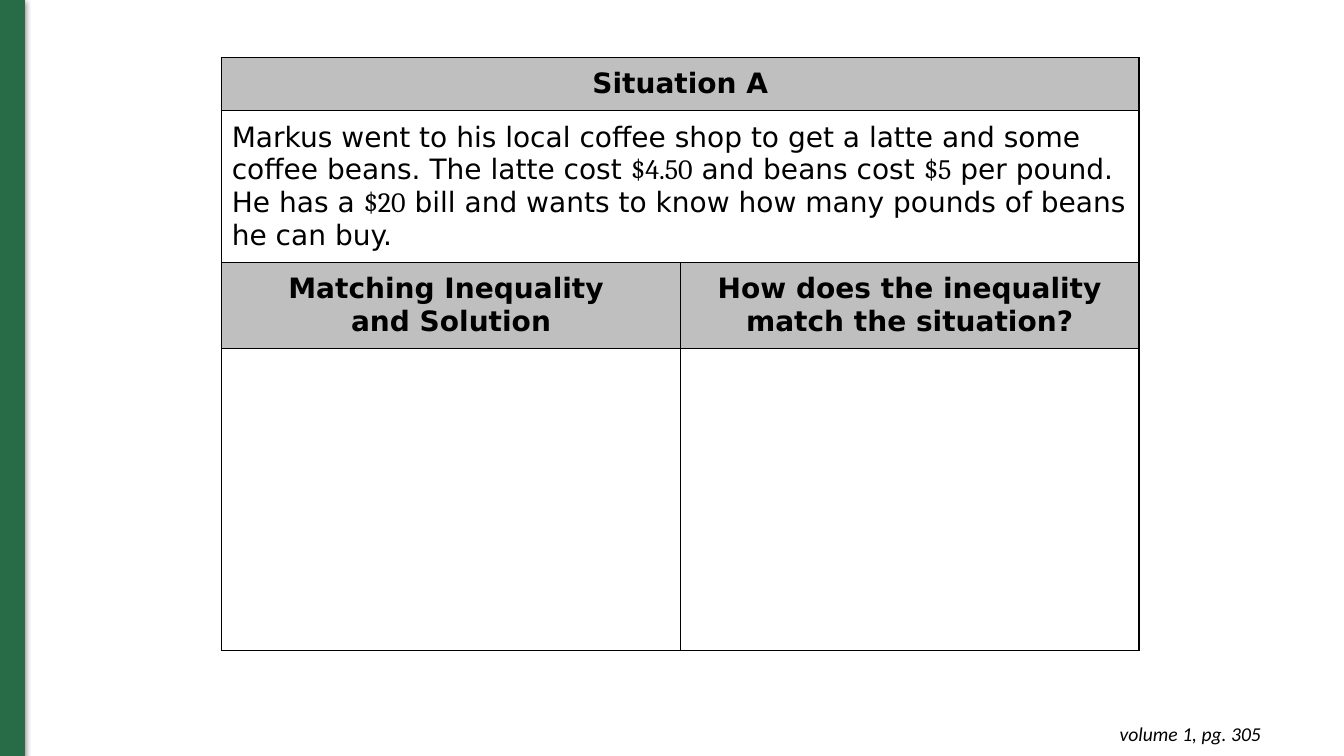
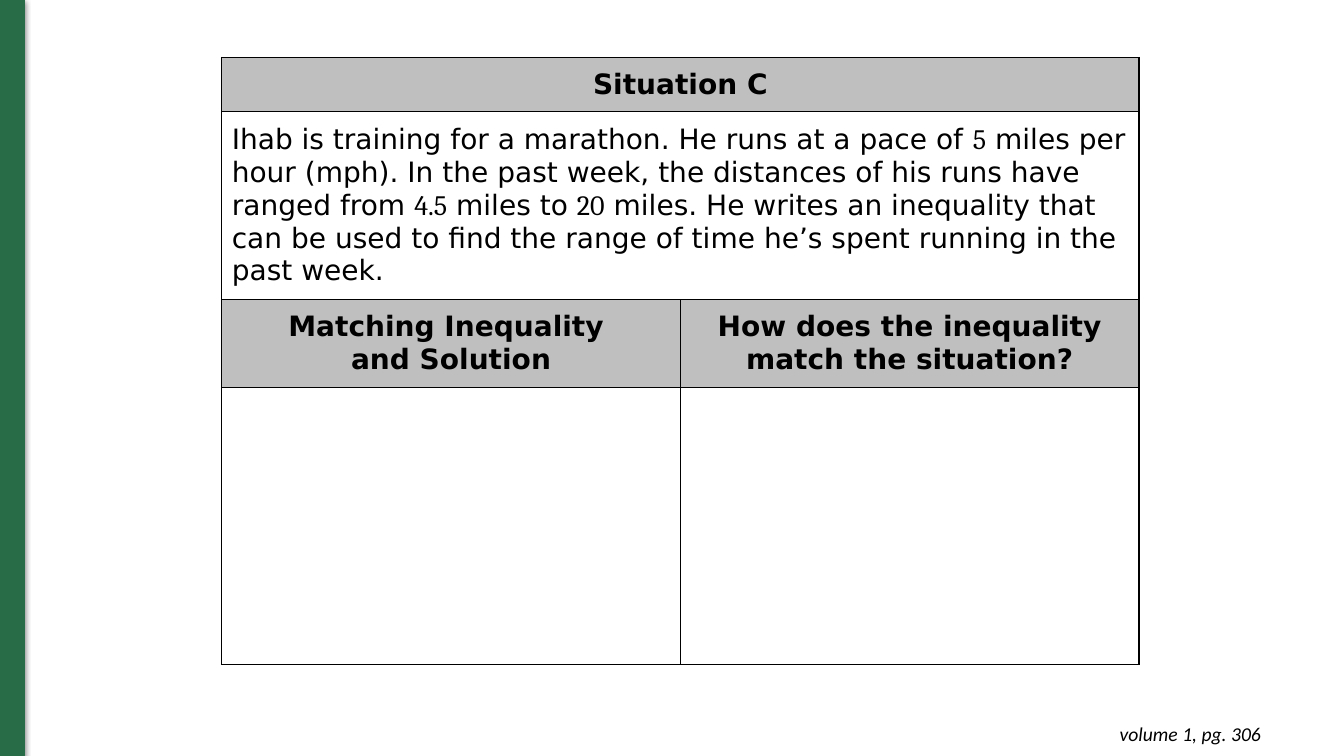
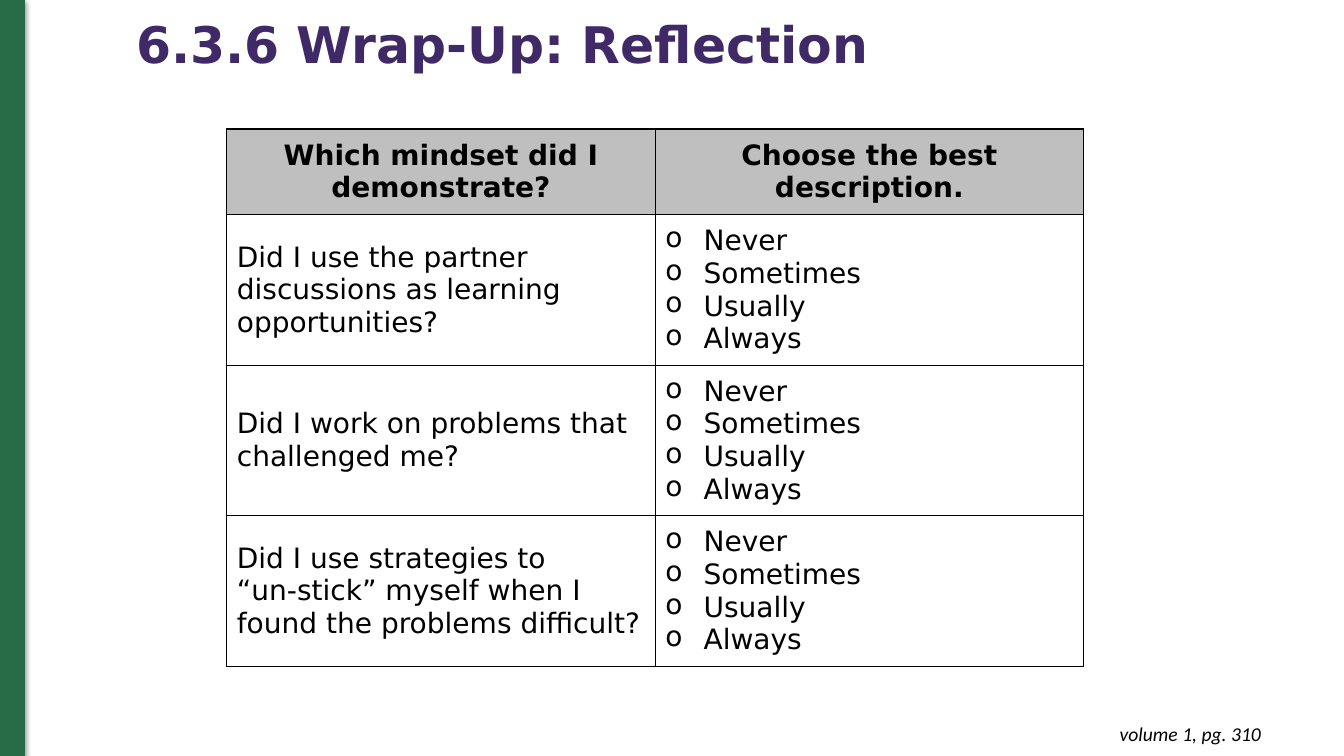
from lxml.etree import SubElement
from pptx import Presentation
from pptx.dml.color import RGBColor
from pptx.enum.shapes import MSO_SHAPE as Shape
from pptx.enum.text import MSO_ANCHOR as Anchor, MSO_AUTO_SIZE as AutoSize, PP_ALIGN as Align
from pptx.oxml import parse_xml
from pptx.oxml.ns import nsdecls, qn
from pptx.util import Emu, Inches, Pt

GREEN = RGBColor(0x27, 0x6C, 0x46)
PURPLE = RGBColor(0x3F, 0x2A, 0x67)
GRAY = RGBColor(0xBF, 0xBF, 0xBF)
BLACK = RGBColor(0, 0, 0)
BODY_FONT, NUMBER_FONT, FOOTER_FONT = "DejaVu Sans", "Cambria", "Calibri"
GRID = Inches(0.1)
COLUMNS, ROWS = 133.33, 75
INSET = GRID
HANG = Inches(0.38)


def grid(*units):
    return [Emu(round(unit * GRID)) for unit in units]


def add_ruled_table(slide, left, top, column, heights, contents):
    frame = slide.shapes.add_table(
        len(heights), 2, *grid(left, top, 2 * column, sum(heights)))
    table = frame.table
    table.first_row = table.horz_banding = False
    for row, height, entries in zip(table.rows, grid(*heights), contents):
        row.height = height
        if len(entries) == 1:
            row.cells[0].merge(row.cells[1])
        for cell, (kind, texts) in zip(row.cells, entries):
            cell.vertical_anchor = Anchor.MIDDLE
            cell.margin_left = cell.margin_right = INSET
            cell.margin_top = cell.margin_bottom = INSET
            for number, text in enumerate(texts):
                frame_text = cell.text_frame
                paragraph = frame_text.add_paragraph() if number else frame_text.paragraphs[0]
                if kind == "heading":
                    paragraph.alignment = Align.CENTER
                if kind == "choices":
                    properties = paragraph._p.get_or_add_pPr()
                    properties.set("marL", str(HANG))
                    properties.set("indent", str(-HANG))
                    bullet_color = SubElement(properties, qn("a:buClr"))
                    SubElement(bullet_color, qn("a:srgbClr"), val=str(BLACK))
                    SubElement(properties, qn("a:buChar"), char="o")
                    if text == texts[-1]:
                        paragraph.space_after = Pt(10)
                for line_number, line in enumerate(text.split("\n")):
                    if line_number:
                        paragraph.add_line_break()
                    for position, part in enumerate(line.split("|")):
                        run = paragraph.add_run()
                        run.text = part
                        run.font.name = NUMBER_FONT if position % 2 else BODY_FONT
                        run.font.size = Pt(20)
                        run.font.bold = kind == "heading"
                        run.font.color.rgb = BLACK
        for cell in row.cells:
            if entries and entries[0][0] == "heading":
                cell.fill.solid()
                cell.fill.fore_color.rgb = GRAY
            else:
                cell.fill.background()
            for index, side in enumerate(("lnL", "lnR", "lnT", "lnB")):
                cell._tc.get_or_add_tcPr().insert(index, parse_xml(
                    f'<a:{side} {nsdecls("a")} w="{Pt(1)}"><a:solidFill>'
                    f'<a:srgbClr val="{BLACK}"/></a:solidFill></a:{side}>'))
    for table_column in table.columns:
        table_column.width = grid(column)[0]


deck = Presentation()
deck.slide_width, deck.slide_height = grid(COLUMNS, ROWS)
title_only, blank = deck.slide_layouts[5], deck.slide_layouts[6]

situations = [
    ("Situation A",
     "Markus went to his local coffee shop to get a latte and some coffee beans. "
     "The latte cost |$4.50| and beans cost |$5| per pound. He has a |$20| bill "
     "and wants to know how many pounds of beans he can buy.",
     [5.3, 15, 8.5, 30]),
    ("Situation C",
     "Ihab is training for a marathon. He runs at a pace of |5| miles per hour (mph). "
     "In the past week, the distances of his runs have ranged from |4.5| miles to |20| "
     "miles. He writes an inequality that can be used to find the range of time he’s "
     "spent running in the past week.",
     [5.3, 18.7, 8.6, 27.5]),
]
for name, story, heights in situations:
    add_ruled_table(deck.slides.add_slide(blank), 22, 5.7, 45.5, heights, [
        [("heading", [name])],
        [("body", [story])],
        [("heading", ["Matching Inequality \nand Solution"]),
         ("heading", ["How does the inequality\nmatch the situation?"])],
        [],
    ])

reflection = deck.slides.add_slide(title_only)
title = reflection.shapes.title
title.left, title.top, title.width, title.height = grid(12.5, 1.1, 87.7, 7.2)
title.text_frame.text = "6.3.6 Wrap-Up: Reflection"
title.text_frame.auto_size = AutoSize.NONE
title.text_frame.vertical_anchor = Anchor.MIDDLE
heading = title.text_frame.paragraphs[0]
heading.alignment = Align.LEFT
heading.line_spacing = 0.9
heading_font = heading.runs[0].font
heading_font.name, heading_font.size, heading_font.bold = BODY_FONT, Pt(36), True
heading_font.color.rgb = PURPLE

questions = [
    "Did I use the partner discussions as learning opportunities?",
    "Did I work on problems that challenged me?",
    "Did I use strategies to \n“un-stick” myself when I found the problems difficult?",
]
choices = ["Never", "Sometimes", "Usually", "Always"]
add_ruled_table(reflection, 22.5, 12.8, 42.5, [8.5] + [14.9] * len(questions), [
    [("heading", ["Which mindset did I demonstrate?"]),
     ("heading", ["Choose the best description."])],
    *[[("body", [question]), ("choices", choices)] for question in questions],
])

for slide, page in zip(deck.slides, (305, 306, 310)):
    band = slide.shapes.add_shape(Shape.RECTANGLE, *grid(0, 0, 2.4, ROWS))
    band.fill.solid()
    band.fill.fore_color.rgb = GREEN
    band.line.color.rgb = GREEN
    band.line.width = Pt(0.75)
    band.shadow.inherit = False
    band._element.spPr.find(qn("a:effectLst")).append(parse_xml(
        f'<a:outerShdw {nsdecls("a")} blurRad="{Pt(4.5)}" dist="{Pt(1.5)}" dir="5400000">'
        f'<a:srgbClr val="{BLACK}"><a:alpha val="50000"/></a:srgbClr></a:outerShdw>'))

    footer = slide.shapes.add_textbox(*grid(97.3, 70.6, 28.8, 4.4)).text_frame
    footer.word_wrap = True
    footer.auto_size = AutoSize.SHAPE_TO_FIT_TEXT
    footer.margin_left = footer.margin_right = INSET
    footer.margin_top = footer.margin_bottom = INSET
    footer.text = f"volume 1, pg. {page}"
    footer.paragraphs[0].alignment = Align.RIGHT
    footer_font = footer.paragraphs[0].runs[0].font
    footer_font.name, footer_font.size, footer_font.italic = FOOTER_FONT, Pt(14), True
    footer_font.color.rgb = BLACK

deck.save("out.pptx")
